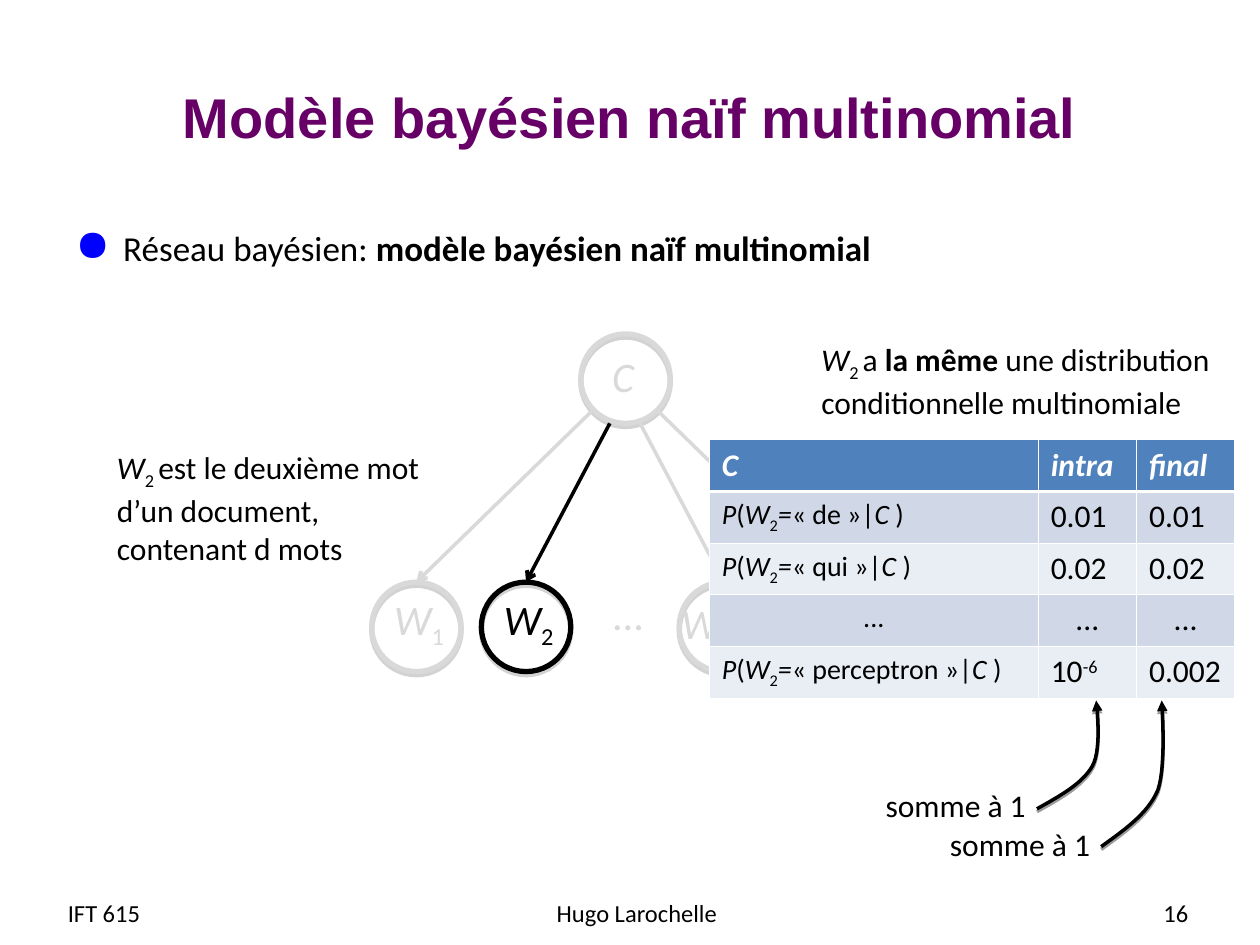
from dataclasses import dataclass

from lxml.etree import SubElement
from pptx import Presentation
from pptx.dml.color import RGBColor
from pptx.enum.shapes import MSO_CONNECTOR as Connector, MSO_SHAPE as Shape
from pptx.enum.text import MSO_ANCHOR as Anchor, MSO_AUTO_SIZE as AutoSize, PP_ALIGN as Align
from pptx.oxml.ns import qn
from pptx.slide import Slide
from pptx.util import Inches, Pt

BLACK, WHITE, GREY = "000000", "FFFFFF", "D9D9D9"
ITALIC = {"italic": True}
BOLD = {"bold": True}
SUBSCRIPT = {"baseline": -25}
SUPERSCRIPT = {"baseline": 30}


def color(value):
    return RGBColor.from_string(value)


def write(paragraph, text, size=18, font="Calibri", fill=BLACK, bold=False, italic=False, baseline=0):
    run = paragraph.add_run()
    run.text = text
    run.font.size = Pt(size)
    run.font.name = font
    run.font.color.rgb = color(fill)
    run.font.bold = bold
    run.font.italic = italic
    if baseline:
        run._r.get_or_add_rPr().set("baseline", str(baseline * 1000))


def write_runs(paragraph, runs, **style):
    for text, emphasis in runs:
        write(paragraph, text, **{**style, **emphasis})


def variable(index):
    return [("W", ITALIC), (index, SUBSCRIPT)]


def probability(word):
    return [("P", ITALIC), ("(", {}), *variable("2"), ("=", ITALIC),
            (f"« {word} »|", {}), ("C ", ITALIC), (")", {})]


def bezier(start, first, second, end, steps=16):
    for step in range(1, steps + 1):
        t = step / steps
        weights = ((1 - t) ** 3, 3 * t * (1 - t) ** 2, 3 * t ** 2 * (1 - t), t ** 3)
        yield tuple(
            sum(weight * point[axis] for weight, point in zip(weights, (start, first, second, end)))
            for axis in (0, 1)
        )


@dataclass
class Builder:
    slide: Slide
    node_size: float = 0.71
    node_weight: float = 3
    arrow_weight: float = 2
    header_fill: str = "4F81BD"
    band_fills: tuple = ("D0D8E8", "E9EDF4")

    def title(self, text, left, top, width, height):
        title = self.slide.shapes.title
        title.left, title.top = Inches(left), Inches(top)
        title.width, title.height = Inches(width), Inches(height)
        title.text_frame.vertical_anchor = Anchor.MIDDLE
        paragraph = title.text_frame.paragraphs[0]
        paragraph.alignment = Align.CENTER
        write(paragraph, text, size=32, font="Arial", fill="660066", bold=True)

    def text(self, lines, left, top, width, height, align=Align.LEFT, anchor=Anchor.TOP, **style):
        box = self.slide.shapes.add_textbox(Inches(left), Inches(top), Inches(width), Inches(height))
        frame = box.text_frame
        frame.word_wrap = True
        frame.auto_size = AutoSize.NONE
        frame.vertical_anchor = anchor
        for number, runs in enumerate(lines):
            paragraph = frame.add_paragraph() if number else frame.paragraphs[0]
            paragraph.alignment = align
            write_runs(paragraph, runs, **style)
        return box

    def bullet(self, runs, left, top, width, height):
        box = self.text([[]], left, top, width, height)
        paragraph = box.text_frame.paragraphs[0]
        properties = paragraph._p.get_or_add_pPr()
        properties.set("marL", str(Inches(0.38)))
        properties.set("indent", str(-Inches(0.38)))
        SubElement(SubElement(properties, qn("a:buClr")), qn("a:srgbClr"), val="0000FF")
        SubElement(properties, qn("a:buSzPct"), val="125000")
        SubElement(properties, qn("a:buChar"), char="●")
        write_runs(paragraph, runs, size=20)

    def outline(self, shape, line, weight):
        shape.line.color.rgb = color(line)
        shape.line.width = Pt(weight)

    def shadow(self, shape, fill, opacity, distance):
        shape.shadow.inherit = False
        effects = shape._element.spPr.find(qn("a:effectLst"))
        shadow = SubElement(effects, qn("a:outerShdw"), blurRad="0", dist=str(Pt(distance)),
                            dir="5400000", rotWithShape="0")
        tint = SubElement(shadow, qn("a:srgbClr"), val=fill)
        SubElement(tint, qn("a:alpha"), val=str(opacity * 1000))

    def arrowhead(self, shape, kind):
        SubElement(shape.line._get_or_add_ln(), qn("a:tailEnd"), type=kind)

    def node(self, left, top, line):
        size = Inches(self.node_size)
        shape = self.slide.shapes.add_shape(Shape.OVAL, Inches(left), Inches(top), size, size)
        shape.fill.background()
        self.outline(shape, line, self.node_weight)
        self.shadow(shape, "808080", 35, 1.8)

    def arrow(self, start, end, line):
        connector = self.slide.shapes.add_connector(
            Connector.STRAIGHT, *(Inches(value) for value in (*start, *end)))
        self.outline(connector, line, self.arrow_weight)
        self.arrowhead(connector, "arrow")
        SubElement(connector._element.spPr, qn("a:effectLst"))

    def curved_arrow(self, start, *curves):
        points, current = [], start
        for curve in curves:
            points.extend(bezier(current, *curve))
            current = curve[-1]
        freeform = self.slide.shapes.build_freeform(Inches(start[0]), Inches(start[1]))
        freeform.add_line_segments([(Inches(x), Inches(y)) for x, y in points], close=False)
        shape = freeform.convert_to_shape()
        shape.fill.background()
        self.outline(shape, BLACK, self.arrow_weight)
        self.arrowhead(shape, "triangle")
        self.shadow(shape, BLACK, 38, 1.6)

    def border(self, cell, side, weight):
        line = SubElement(cell._tc.get_or_add_tcPr(), qn(f"a:{side}"), w=str(Pt(weight)))
        SubElement(SubElement(line, qn("a:solidFill")), qn("a:srgbClr"), val=WHITE)

    def table(self, rows, left, top, widths, row_height):
        table = self.slide.shapes.add_table(
            len(rows), len(widths), Inches(left), Inches(top),
            Inches(sum(widths)), Inches(row_height * len(rows))).table
        for column, width in zip(table.columns, widths):
            column.width = Inches(width)
        for row_index, row in enumerate(rows):
            for column_index, runs in enumerate(row):
                cell = table.cell(row_index, column_index)
                for side in ("lnL", "lnR", "lnT", "lnB"):
                    heavy = (row_index, side) in ((0, "lnB"), (1, "lnT"))
                    self.border(cell, side, 1.5 if heavy else 0.45)
                cell.fill.solid()
                band = self.band_fills[(row_index - 1) % 2] if row_index else self.header_fill
                cell.fill.fore_color.rgb = color(band)
                paragraph = cell.text_frame.paragraphs[0]
                if runs[0][0] == "...":
                    paragraph.alignment = Align.CENTER
                if row_index:
                    write_runs(paragraph, runs, size=18 if column_index else 16)
                else:
                    write_runs(paragraph, runs, fill=WHITE, bold=True, italic=True)


def main():
    presentation = Presentation()
    presentation.slide_width, presentation.slide_height = Inches(10), Inches(7.5)
    builder = Builder(presentation.slides.add_slide(presentation.slide_layouts[5]))

    builder.title("Modèle bayésien naïf multinomial", 0.5, 0.3, 9, 1.25)
    builder.bullet([("Réseau bayésien: ", {}), ("modèle bayésien naïf multinomial", BOLD)],
                   0.5, 1.75, 9, 4.95)
    for text, left, width, align in (("IFT 615", 0.44, 1.93, Align.LEFT),
                                     ("Hugo Larochelle", 3.47, 3.17, Align.CENTER),
                                     ("16", 7.2, 2.33, Align.RIGHT)):
        builder.text([[(text, {})]], left, 7.04, width, 0.4, align, Anchor.MIDDLE, size=14)

    builder.node(4.61, 2.65, GREY)
    builder.text([[("C", ITALIC)]], 4.76, 2.73, 0.55, 0.5, size=24, fill=GREY)
    builder.text([[("...", {})]], 4.76, 4.62, 0.55, 0.5, size=24, fill=GREY)
    word_top = 4.62
    for index, left, start, label_left, label_top, label_width, line in (
            ("1", 2.95, (4.71, 3.25), 3.03, 4.66, 0.63, GREY),
            ("2", 3.82, (4.84, 3.36), 3.9, 4.66, 0.71, BLACK),
            ("d-1", 5.39, (5.08, 3.36), 5.31, 4.69, 0.95, GREY),
            ("d", 6.26, (5.21, 3.25), 6.34, 4.69, 0.71, GREY)):
        builder.node(left, word_top, line)
        builder.arrow(start, (left + builder.node_size / 2, word_top), line)
        builder.text([variable(index)], label_left, label_top, label_width, 0.56, size=24, fill=line)

    builder.text([[*variable("2 "), ("est le deuxième mot", {})],
                  [("d’un document, contenant d mots", {})]], 0.83, 3.51, 2.76, 1.04)
    builder.text([[*variable("2 "), ("a ", {}), ("la même ", BOLD),
                   ("une distribution conditionnelle multinomiale", {})]], 6.42, 2.65, 3.47, 0.74)

    for left, top in ((6.93, 6.19), (7.44, 6.5)):
        builder.text([[("somme à 1", {})]], left, top, 1.38, 0.4)
    builder.curved_arrow((8.23, 6.42), ((8.41, 6.32), (8.59, 6.22), (8.67, 6.08)),
                         ((8.75, 5.94), (8.7, 5.56), (8.7, 5.56)))
    builder.curved_arrow((8.74, 6.72), ((8.92, 6.59), (9.11, 6.46), (9.19, 6.27)),
                         ((9.26, 6.07), (9.22, 5.56), (9.22, 5.56)))

    dots = [("...", {})]
    builder.table([
        [[("C", {})], [("intra", {})], [("final", {})]],
        [probability("de"), [("0.01", {})], [("0.01", {})]],
        [probability("qui"), [("0.02", {})], [("0.02", {})]],
        [dots, dots, dots],
        [probability("perceptron"), [("10", {}), ("-6", SUPERSCRIPT)], [("0.002", {})]],
    ], 5.63, 3.49, (2.61, 0.78, 0.78), 0.41)

    presentation.save("out.pptx")


if __name__ == "__main__":
    main()
